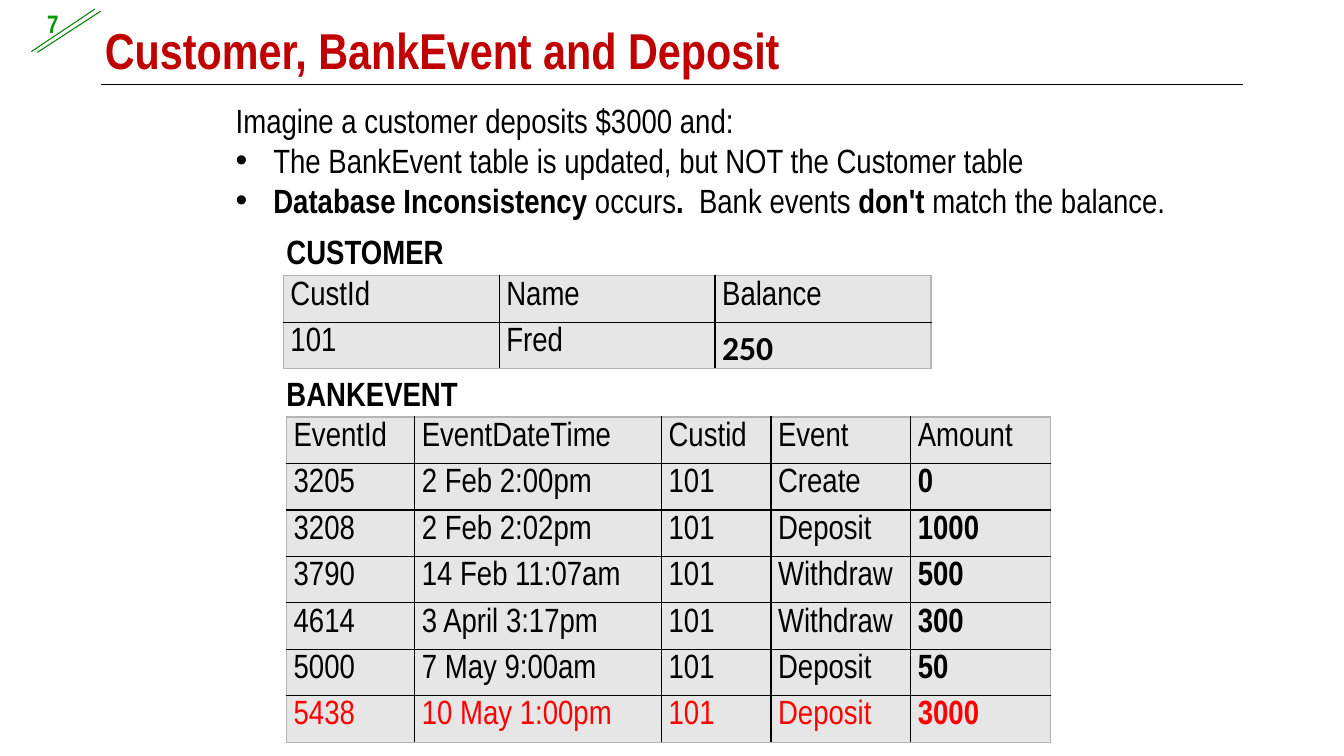
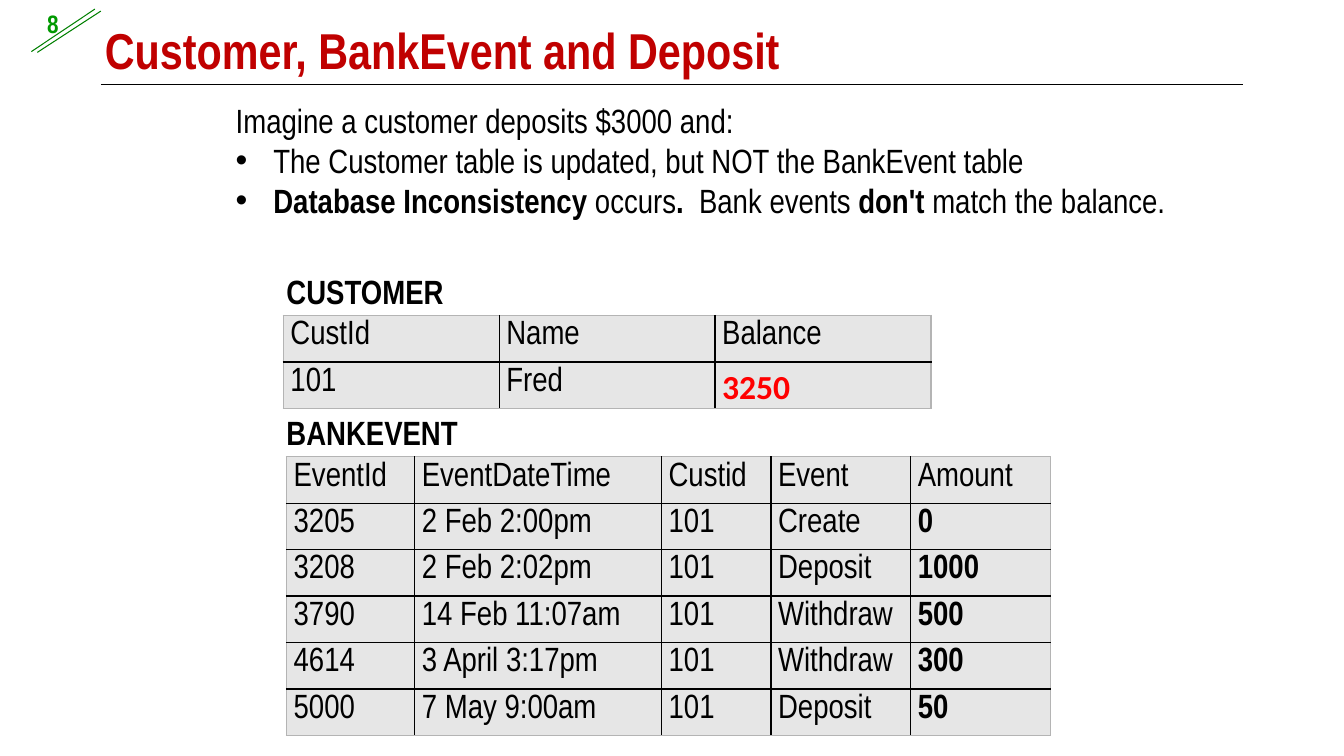
from lxml.etree import SubElement
from pptx import Presentation
from pptx.dml.color import RGBColor
from pptx.enum.text import MSO_ANCHOR, MSO_AUTO_SIZE, PP_ALIGN
from pptx.oxml import parse_xml
from pptx.oxml.ns import nsdecls, qn
from pptx.util import Cm, Pt

BLACK = RGBColor(0x00, 0x00, 0x00)
RED = RGBColor(0xFF, 0x00, 0x00)
TITLE_RED = RGBColor(0xC0, 0x00, 0x00)
RULE_GREEN = RGBColor(0x00, 0x80, 0x00)
NUMBER_GREEN = RGBColor(0x00, 0x99, 0x00)
CELL_GREY = RGBColor(0xE6, 0xE6, 0xE6)
EDGE_GREY = RGBColor(0xB4, 0xB4, 0xB4)
FONT = "Arial Narrow"

TITLE = "Customer, BankEvent and Deposit"
INTRO = "Imagine a customer deposits $3000 and:"
CONSEQUENCE = [("Database Inconsistency ", True), ("occurs", False), (". ", True),
               (" Bank events ", False), ("don't", True), (" match the balance.", False)]
CUSTOMER_HEAD = ("CustId", "Name", "Balance")
EVENT_HEAD = ("EventId", "EventDateTime", "Custid", "Event", "Amount")
EVENTS = [
    ("3205", "2 Feb 2:00pm", "101", "Create", "0"),
    ("3208", "2 Feb 2:02pm", "101", "Deposit", "1000"),
    ("3790", "14 Feb 11:07am", "101", "Withdraw", "500"),
    ("4614", "3 April 3:17pm", "101", "Withdraw", "300"),
    ("5000", "7 May 9:00am", "101", "Deposit", "50"),
]
NEW_EVENT = ("5438", "10 May 1:00pm", "101", "Deposit", "3000")
# "red" lists the (row, column) cells that the deposit changed
SLIDES = [
    {"number": "7", "update": "The BankEvent table is updated, but NOT the Customer table",
     "balance": "250", "balance_red": set(), "events": EVENTS + [NEW_EVENT],
     "events_red": {(6, column) for column in range(5)}, "tables_top": 5.83},
    {"number": "8", "update": "The Customer table is updated, but NOT the BankEvent table",
     "balance": "3250", "balance_red": {(1, 2)}, "events": EVENTS,
     "events_red": set(), "tables_top": 6.83},
]

RULES = [  # x1, y1, x2, y2, colour
    (2.54, 2.13, 31.32, 2.13, BLACK),
    (0.79, 1.3, 2.39, 0.23, RULE_GREEN),
    (0.94, 1.32, 2.54, 0.28, RULE_GREEN),
]
CUSTOMER_LEFT, CUSTOMER_WIDTHS = 7.14, (5.44,) * 3
EVENT_LEFT, EVENT_WIDTHS = 7.22, (3.23, 6.22, 2.76, 3.52, 3.52)
ROW_HEIGHT = 1.17
CAPTION_HEIGHT = 1.02
CAPTION_TO_TABLE = 1.12
CAPTION_STEP = 3.56


def write(frame, paragraphs, size=24, color=BLACK, bold=False, font=FONT,
          align=PP_ALIGN.LEFT, spacing=None, bulleted=False):
    """Fill a frame; a paragraph is a string or a list of (text, bold) runs.

    With bulleted, every paragraph after the first gets a bullet.
    """
    for index, content in enumerate(paragraphs):
        paragraph = frame.paragraphs[0] if index == 0 else frame.add_paragraph()
        if bulleted and index:
            properties = paragraph._p.get_or_add_pPr()
            properties.set("marL", str(Cm(0.95)))
            properties.set("indent", str(Cm(-0.95)))
            SubElement(properties, qn("a:buFont"), typeface="Arial")
            SubElement(properties, qn("a:buChar"), char="•")
        paragraph.alignment = align
        if spacing:
            paragraph.line_spacing = spacing
        for text, run_bold in [(content, bold)] if isinstance(content, str) else content:
            run = paragraph.add_run()
            run.text = text
            run.font.name, run.font.size, run.font.bold = font, Pt(size), run_bold
            run.font.color.rgb = color


def add_text(slide, left, top, width, height, paragraphs, margin=0, **text_format):
    frame = slide.shapes.add_textbox(Cm(left), Cm(top), Cm(width), Cm(height)).text_frame
    frame.word_wrap = True
    frame.margin_left = frame.margin_right = Cm(margin)
    frame.margin_top = frame.margin_bottom = Cm(margin / 2)
    write(frame, paragraphs, **text_format)


def add_rule(slide, x1, y1, x2, y2, color):
    rule = slide.shapes.add_connector(1, Cm(x1), Cm(y1), Cm(x2), Cm(y2))
    rule.line.color.rgb = color
    rule.line.width = Pt(0.75)
    SubElement(rule._element.spPr, qn("a:effectLst"))


def set_borders(cell, outer_sides):
    """Draw black inner borders and grey ones on the table's outer sides."""
    properties = cell._tc.get_or_add_tcPr()
    for index, side in enumerate("LRTB"):
        color = EDGE_GREY if side in outer_sides else BLACK
        properties.insert(index, parse_xml(
            f'<a:ln{side} {nsdecls("a")} w="12700"><a:solidFill>'
            f'<a:srgbClr val="{color}"/></a:solidFill></a:ln{side}>'))


def add_records(slide, left, top, widths, rows, red_cells, figure_font):
    """Add a table whose last column holds bold figures."""
    last_row, last_column = len(rows) - 1, len(widths) - 1
    table = slide.shapes.add_table(len(rows), len(widths), Cm(left), Cm(top),
                                   Cm(sum(widths)), Cm(ROW_HEIGHT * len(rows))).table
    table.first_row = table.horz_banding = False
    for column, width in zip(table.columns, widths):
        column.width = Cm(width)
    for r, row in enumerate(rows):
        table.rows[r].height = Cm(ROW_HEIGHT)
        for c, value in enumerate(row):
            cell = table.cell(r, c)
            cell.margin_left = cell.margin_right = Cm(0.18)
            cell.margin_top = cell.margin_bottom = 0
            cell.fill.solid()
            cell.fill.fore_color.rgb = CELL_GREY
            edges = {"L": c == 0, "R": c == last_column, "T": r == 0, "B": r == last_row}
            set_borders(cell, [side for side, outer in edges.items() if outer])
            is_figure = r > 0 and c == last_column
            write(cell.text_frame, [value], spacing=1.15, bold=is_figure,
                  font=figure_font if is_figure else FONT,
                  color=RED if (r, c) in red_cells else BLACK)


def add_title(slide):
    title = slide.shapes.title
    title.left, title.top, title.width, title.height = Cm(2.39), Cm(0.33), Cm(30.4), Cm(1.8)
    frame = title.text_frame
    frame.auto_size = MSO_AUTO_SIZE.NONE
    frame.vertical_anchor = MSO_ANCHOR.BOTTOM
    write(frame, [TITLE], size=36, color=TITLE_RED, bold=True)


def build_slide(prs, content):
    slide = prs.slides.add_slide(prs.slide_layouts[5])
    for rule in RULES:
        add_rule(slide, *rule)
    add_text(slide, 0, 0.23, 1.73, 0.86, [content["number"]], margin=0.25, size=18,
             color=NUMBER_GREEN, bold=True, align=PP_ALIGN.RIGHT, spacing=0.8)
    add_title(slide)
    add_text(slide, 5.94, 2.51, 23.7, 3.1, [INTRO, content["update"], CONSEQUENCE],
             bulleted=True)

    customers = [CUSTOMER_HEAD, ("101", "Fred", content["balance"])]
    events = [EVENT_HEAD, *content["events"]]
    tables = [
        ("CUSTOMER", CUSTOMER_LEFT, CUSTOMER_WIDTHS, customers,
         content["balance_red"], "Calibri"),
        ("BANKEVENT", EVENT_LEFT, EVENT_WIDTHS, events, content["events_red"], FONT),
    ]
    for index, (caption, left, *records) in enumerate(tables):
        top = content["tables_top"] + index * CAPTION_STEP
        add_text(slide, EVENT_LEFT, top, 8, CAPTION_HEIGHT, [caption], bold=True)
        add_records(slide, left, top + CAPTION_TO_TABLE, *records)


def main():
    prs = Presentation()
    prs.slide_width, prs.slide_height = Cm(33.87), Cm(19.05)
    for content in SLIDES:
        build_slide(prs, content)
    prs.save("out.pptx")


if __name__ == "__main__":
    main()
